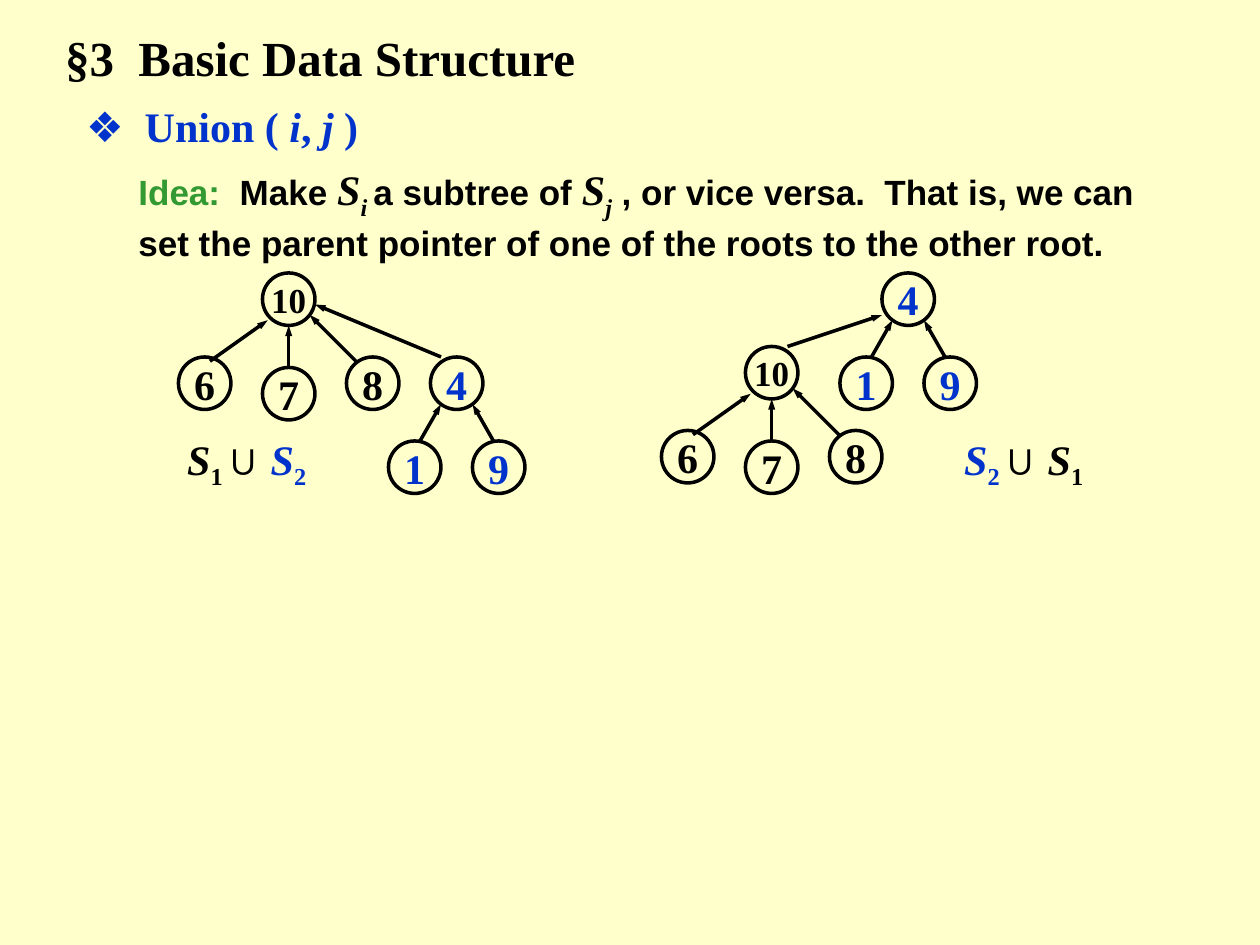
from dataclasses import dataclass

from lxml import etree
from pptx import Presentation
from pptx import util as u
from pptx.dml.color import RGBColor
from pptx.enum import shapes, text
from pptx.oxml import ns


@dataclass(frozen=True)
class Theme:
    paper: str = "FFFFCC"
    ink: str = "000000"
    blue: str = "0033CC"
    green: str = "339933"
    serif: str = "Times New Roman"
    sans: str = "Arial"
    title: int = 28
    large: int = 24
    body: int = 20
    line: int = 2


THEME = Theme()
NODE = 5  # node diameter in grid units

# Node: label, column, row from the root's corner. Arrow: child end, root end.
WIDE_TREE = {
    "nodes": [("10", 0, 0), ("6", -8, 8), ("8", 8, 8), ("7", 0, 9)],
    "arrows": [(-5, 8.4, 0.5, 4.5), (9, 8.5, 4.5, 4), (2.5, 9, 2.5, 5)],
}
SMALL_TREE = {
    "nodes": [("4", 0, 0), ("1", -4, 8), ("9", 4, 8)],
    "arrows": [(-1, 8, 1, 4.5), (6, 8, 4, 4.5)],
}


def grid(units):
    """The page is 120 columns by 90 rows, twelve to the inch."""
    return u.Inches(units / 12)


def place(shape, box):
    shape.left, shape.top, shape.width, shape.height = map(grid, box)


def add_span(para, words, size, color, face=THEME.serif, italic=False, sub=False):
    span = para.add_run()
    span.text = words
    font = span.font
    font.size, font.name = u.Pt(size), face
    font.bold, font.italic = True, italic
    font.color.rgb = RGBColor.from_string(color)
    if sub:
        span._r.get_or_add_rPr().set("baseline", "-25000")


def set_frame(shape, wrap=True, anchor=text.MSO_ANCHOR.TOP, align=text.PP_ALIGN.LEFT):
    frame = shape.text_frame
    frame.word_wrap = wrap
    frame.auto_size = text.MSO_AUTO_SIZE.NONE
    frame.vertical_anchor = anchor
    para = frame.paragraphs[0]
    para.alignment = align
    para.space_before = u.Pt(0)
    return para


def add_centred(shape):
    return set_frame(shape, False, text.MSO_ANCHOR.MIDDLE, text.PP_ALIGN.CENTER)


def add_heading(page, box):
    title = page.shapes.title
    place(title, box)
    add_span(set_frame(title), "§3  Basic Data Structure", THEME.title, THEME.ink)


def add_operation(page, box):
    body = page.placeholders[1]
    place(body, box)
    para = set_frame(body)
    properties = para._p.get_or_add_pPr()
    properties.set("marL", "0")
    properties.set("indent", "0")
    etree.SubElement(properties, ns.qn("a:buNone"))
    add_span(para, "❖", THEME.large, THEME.blue, THEME.sans)
    for words, italic in [("  Union ( ", False), ("i", True), (", ", False),
                          ("j", True), (" )", False)]:
        add_span(para, words, THEME.large, THEME.blue, italic=italic)


def add_idea(page, box):
    para = set_frame(page.shapes.add_textbox(*map(grid, box)))

    def say(words, color=THEME.ink):
        add_span(para, words, THEME.body, color, THEME.sans)

    def name_set(index):
        add_span(para, "S", THEME.large, THEME.ink, italic=True)
        add_span(para, index, THEME.large, THEME.ink, italic=True, sub=True)

    say("Idea:", THEME.green)
    say("  Make ")
    name_set("i ")
    say("a subtree of ")
    name_set("j")
    say(" , or vice versa.  That is, we can set the parent pointer "
        "of one of the roots to the other root.")


def add_arrow(parent, child_x, child_y, root_x, root_y):
    arrow = parent.shapes.add_connector(
        shapes.MSO_CONNECTOR.STRAIGHT, *map(grid, (child_x, child_y, root_x, root_y)))
    arrow.line.color.rgb = RGBColor.from_string(THEME.ink)
    arrow.line.width = u.Pt(THEME.line)
    etree.SubElement(arrow.line._get_or_add_ln(), ns.qn("a:tailEnd"),
                     type="triangle", w="sm", len="med")
    etree.SubElement(arrow._element.spPr, ns.qn("a:effectLst"))


def add_node(parent, label, column, row, color):
    node = parent.shapes.add_shape(
        shapes.MSO_SHAPE.OVAL, *map(grid, (column, row, NODE, NODE)))
    node.shadow.inherit = False
    node.fill.background()
    node.line.color.rgb = RGBColor.from_string(THEME.ink)
    node.line.width = u.Pt(THEME.line)
    size = THEME.large if len(label) == 1 else THEME.body
    add_span(add_centred(node), label, size, color)


def add_tree(page, tree, left, top, color):
    group = page.shapes.add_group_shape()
    for label, column, row in tree["nodes"]:
        add_node(group, label, left + column, top + row, color)
    for child_x, child_y, root_x, root_y in tree["arrows"]:
        add_arrow(group, left + child_x, top + child_y, left + root_x, top + root_y)


def add_union_label(page, box, first, second):
    para = add_centred(page.shapes.add_textbox(*map(grid, box)))

    def name_set(index, color, gap=""):
        add_span(para, "S", THEME.large, color, italic=True)
        add_span(para, index + gap, THEME.large, color, sub=True)

    name_set(*first, gap=" ")
    add_span(para, "∪ ", THEME.large, THEME.ink, THEME.sans)
    name_set(*second)


def main():
    deck = Presentation()
    deck.slide_width, deck.slide_height = grid(120), grid(90)
    page = deck.slides.add_slide(deck.slide_layouts[1])
    page.background.fill.solid()
    page.background.fill.fore_color.rgb = RGBColor.from_string(THEME.paper)

    # Text at the top
    add_heading(page, (5, 2, 57, 7))
    add_operation(page, (7, 9, 33, 6))
    add_idea(page, (12, 15, 99, 10.7))

    # Left: the small tree hangs under the wide one
    add_tree(page, WIDE_TREE, 25, 26, THEME.ink)
    add_tree(page, SMALL_TREE, 41, 34, THEME.blue)
    add_arrow(page, 42, 34, 30, 29)

    # Right: the wide tree hangs under the small one
    add_tree(page, SMALL_TREE, 84, 26, THEME.blue)
    add_tree(page, WIDE_TREE, 71, 33, THEME.ink)
    add_arrow(page, 75, 33, 84, 30)

    # Labels of the two unions
    one, two = ("1", THEME.ink), ("2", THEME.blue)
    add_union_label(page, (15, 41, 17, 6), one, two)
    add_union_label(page, (89, 41, 17, 6), two, one)

    deck.save("out.pptx")


if __name__ == "__main__":
    main()
